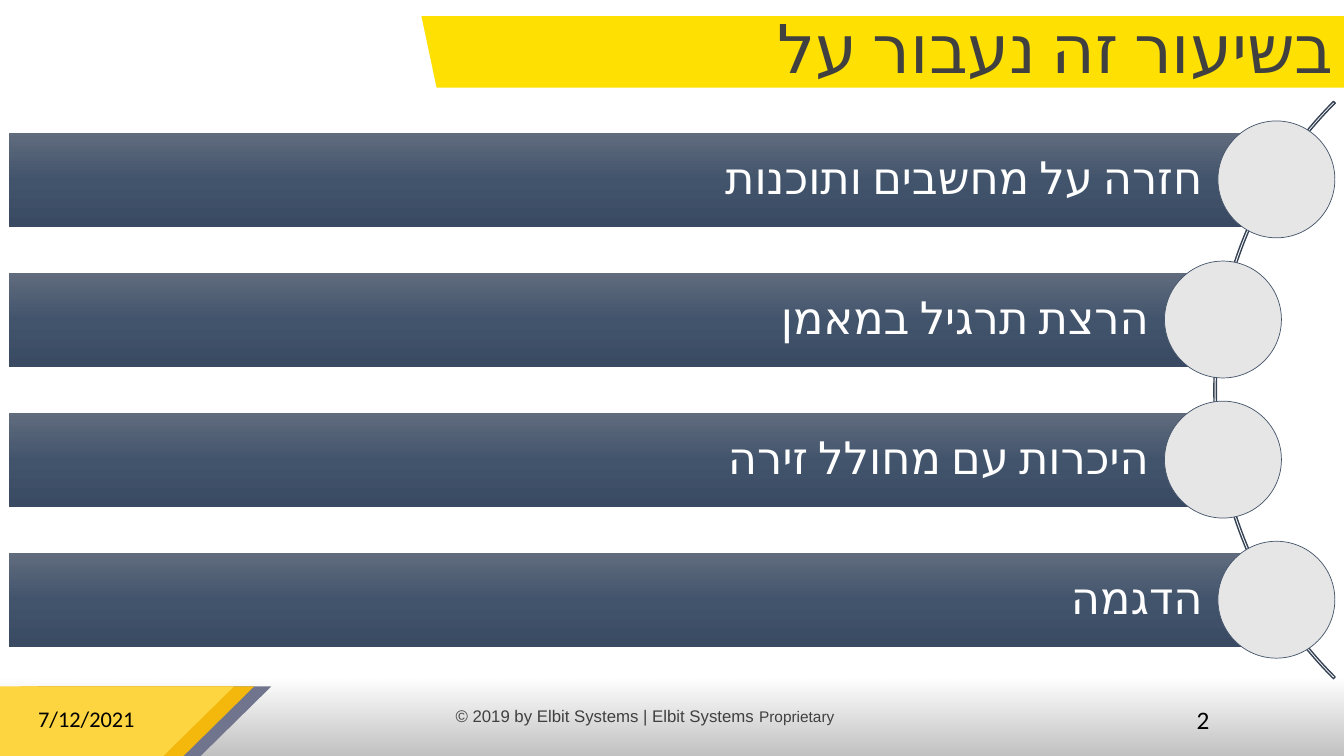
import dataclasses

import lxml.etree
import pptx
import pptx.dml.color
import pptx.enum.lang
import pptx.enum.shapes
import pptx.enum.text
import pptx.oxml.ns
import pptx.util

PX = 9144
ALIGN = pptx.enum.text.PP_ALIGN
ANCHOR = pptx.enum.text.MSO_ANCHOR
SHAPE = pptx.enum.shapes.MSO_SHAPE
LANGUAGE = pptx.enum.lang.MSO_LANGUAGE_ID


@dataclasses.dataclass(frozen=True)
class Theme:
    """Colours, fonts and type sizes of the deck."""
    ink: str = "404040"
    black: str = "000000"
    white: str = "FFFFFF"
    banner: str = "FEE002"
    ribbons: tuple = ("71748D", "F4B70C", "FDD541")
    footer: tuple = ((0, "000000", 25), (100, "0D0D0D", 0))
    bar: tuple = ((0, "606B7D", 100), (50, "42546C", 100), (100, "394A62", 100))
    disc: str = "E7E6E6"
    disc_line: str = "44546A"
    arc: str = "364355"
    body_font: str = "Calibri"
    footer_font: str = "Arial"
    title_size: int = 48
    topic_size: int = 32
    number_size: int = 18
    date_size: int = 16
    footer_size: int = 12
    small_size: int = 11


THEME = Theme()


def rgb(value):
    """Turn a hex string into a colour."""
    return pptx.dml.color.RGBColor.from_string(value)


def paint(shape, fill=None, line=None, width=1):
    """Set solid fill and outline, and remove the shadow."""
    shape.shadow.inherit = False
    if fill:
        shape.fill.solid()
        shape.fill.fore_color.rgb = rgb(fill)
    else:
        shape.fill.background()
    if line:
        shape.line.color.rgb = rgb(line)
        shape.line.width = pptx.util.Pt(width)
    else:
        shape.line.fill.background()


def add_gradient(shape, stops, angle):
    """Fill a shape with a linear gradient of (position, colour, opacity) stops."""
    paint(shape, THEME.white)
    qn = pptx.oxml.ns.qn
    gradient = lxml.etree.Element(qn("a:gradFill"), rotWithShape="1")
    stop_list = lxml.etree.SubElement(gradient, qn("a:gsLst"))
    for position, colour, opacity in stops:
        stop = lxml.etree.SubElement(stop_list, qn("a:gs"), pos=str(position * 1000))
        tone = lxml.etree.SubElement(stop, qn("a:srgbClr"), val=colour)
        lxml.etree.SubElement(tone, qn("a:alpha"), val=str(opacity * 1000))
    lxml.etree.SubElement(gradient, qn("a:lin"), ang=str(angle * 60000), scaled="0")
    solid = shape._element.spPr.find(qn("a:solidFill"))
    solid.getparent().replace(solid, gradient)


def add_preset(page, kind, box):
    """Add a preset shape in a pixel box."""
    return page.shapes.add_shape(kind, *(value * PX for value in box))


def add_outline(page, points):
    """Add a closed freeform through pixel points."""
    builder = page.shapes.build_freeform(*points[0], scale=PX)
    builder.add_line_segments(points[1:], close=True)
    return builder.convert_to_shape()


def add_textbox(page, box):
    """Add an empty text box in a pixel box."""
    return page.shapes.add_textbox(*(value * PX for value in box))


def write_text(shape, *spans, font=THEME.body_font, colour=THEME.black, align=ALIGN.LEFT,
               anchor=ANCHOR.TOP, spacing=None, rtl=False, insets=(10, 5, 10, 5),
               language=LANGUAGE.ENGLISH_US):
    """Write one paragraph of (text, size) spans into a shape."""
    frame = shape.text_frame
    frame.word_wrap = True
    frame.vertical_anchor = anchor
    (frame.margin_left, frame.margin_top,
     frame.margin_right, frame.margin_bottom) = (inset * PX for inset in insets)
    para = frame.paragraphs[0]
    para.alignment = align
    para.line_spacing = spacing
    if rtl:
        para._p.get_or_add_pPr().set("rtl", "1")
    for text, size in spans:
        span = para.add_run()
        span.text = text
        span.font.name = font
        span.font.size = pptx.util.Pt(size)
        span.font.color.rgb = rgb(colour)
        span.font.language_id = language
        lxml.etree.SubElement(span.font._element, pptx.oxml.ns.qn("a:cs"), typeface=font)


def draw_footer(page, box, date, notice, number):
    """Draw the shaded strip, the slanted ribbons and the footer texts."""
    left, top, width, height = box
    add_gradient(add_preset(page, SHAPE.RECTANGLE, box), THEME.footer, 270)
    bottom = top + height
    for shift, colour in zip((37, 20, 0), THEME.ribbons):
        x, y = left + shift, top + 9
        ribbon = [(x + 162, bottom), (x, bottom), (x, y), (x + 232, y)]
        paint(add_outline(page, ribbon), colour)
    write_text(add_textbox(page, (left + 28, top + 23, 143, 40)), (date, THEME.date_size))
    write_text(add_textbox(page, (left + 442, top + 23, 450, 40)), *notice,
               font=THEME.footer_font, colour=THEME.ink)
    write_text(add_textbox(page, (left + 1177, top + 22, 107, 40)),
               (number, THEME.number_size))


def draw_title(page, box, title):
    """Draw the slanted banner with the title on it."""
    left, top, width, height = box
    right, bottom = left + width, top + height
    banner = [(right, top), (left, top), (left + 15, bottom), (right, bottom)]
    paint(add_outline(page, banner), THEME.banner)
    write_text(add_textbox(page, (left + 12, top, width - 12, height - 1)),
               (title, THEME.title_size), colour=THEME.ink, align=ALIGN.RIGHT,
               anchor=ANCHOR.MIDDLE, spacing=0.9, rtl=True, language=LANGUAGE.HEBREW)


def draw_arc(page, box):
    """Draw the thin ring segment from 135 to 225 degrees."""
    arc = add_preset(page, SHAPE.BLOCK_ARC, box)
    for index, value in enumerate((81, 135, 0.003)):
        arc.adjustments[index] = value
    paint(arc, line=THEME.arc)


def draw_topics(page, box, topics):
    """Draw evenly spaced bars, each ending in a disc on the arc."""
    left, top, width, height = box
    bar_height, disc_size, indent = 93, 116, 53
    draw_arc(page, (left + width - 62, top - 150, 810, 810))
    for index, topic in enumerate(topics):
        y = top + index * (height - bar_height) // (len(topics) - 1)
        is_outer = index in (0, len(topics) - 1)
        bar_width = width if is_outer else width - indent
        bar = add_preset(page, SHAPE.RECTANGLE, (left, y, bar_width, bar_height))
        add_gradient(bar, THEME.bar, 90)
        write_text(bar, (topic, THEME.topic_size), colour=THEME.white, align=ALIGN.RIGHT,
                   anchor=ANCHOR.MIDDLE, spacing=0.9, insets=(9, 9, 73, 9),
                   language=LANGUAGE.HEBREW)
        disc = add_preset(page, SHAPE.OVAL, (
            left + bar_width - disc_size // 2, y + (bar_height - disc_size) // 2,
            disc_size, disc_size))
        paint(disc, THEME.disc, THEME.disc_line, 0.5)


def main():
    """Build the agenda slide and save the deck."""
    deck = pptx.Presentation()
    deck.slide_width, deck.slide_height = 1333 * PX, 750 * PX
    page = deck.slides.add_slide(deck.slide_layouts[6])
    draw_footer(page, (0, 672, 1333, 78), "7/12/2021",
                [("© 2019 by Elbit Systems | Elbit Systems ", THEME.footer_size),
                 ("Proprietary", THEME.small_size)], "2")
    draw_title(page, (418, 16, 915, 71), "בשיעור זה נעבור על")
    draw_topics(page, (9, 132, 1257, 510), [
        "חזרה על מחשבים ותוכנות",
        "הרצת תרגיל במאמן",
        "היכרות עם מחולל זירה",
        "הדגמה",
    ])
    deck.save("out.pptx")


if __name__ == "__main__":
    main()
